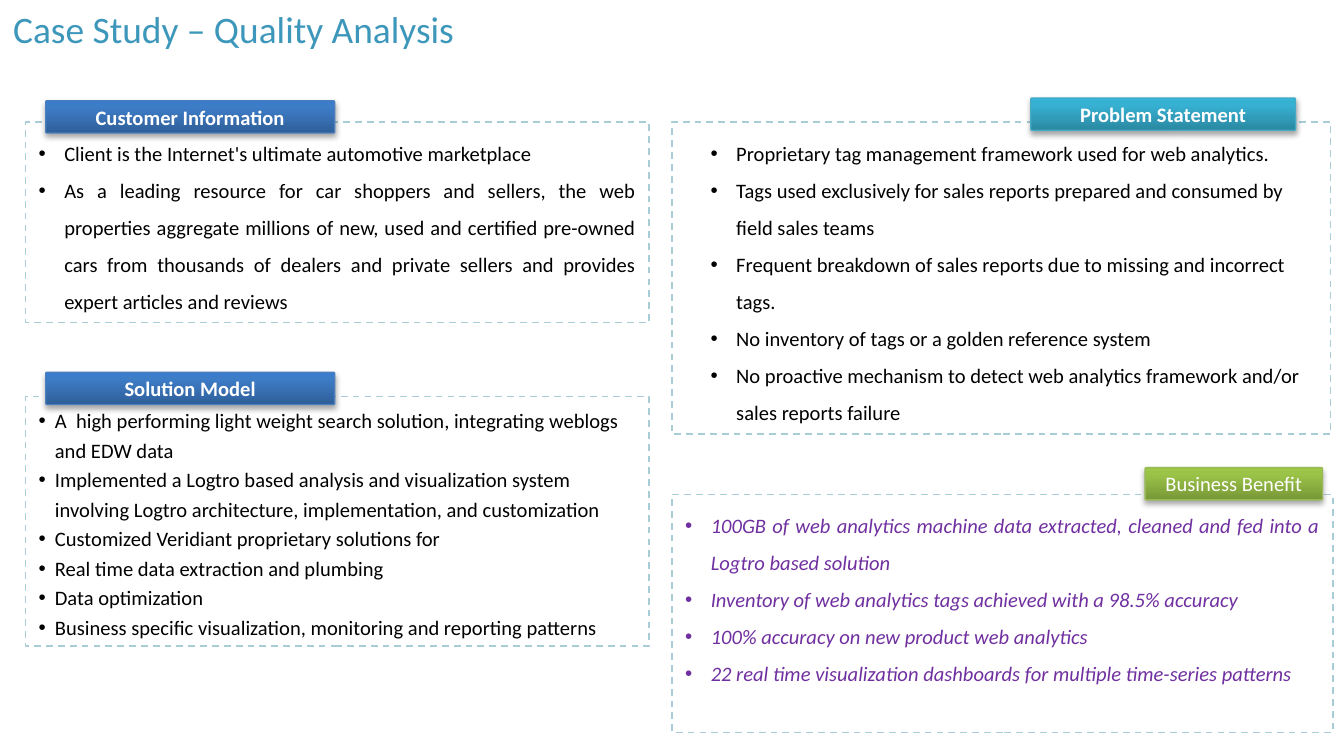
from copy import deepcopy

from lxml.etree import SubElement
from pptx import Presentation
from pptx.dml.color import RGBColor
from pptx.enum.dml import MSO_LINE
from pptx.enum.shapes import MSO_SHAPE
from pptx.enum.text import MSO_ANCHOR, PP_ALIGN
from pptx.oxml.ns import qn
from pptx.util import Inches, Pt

COLORS = {
    "title": "3D97BB", "border": "A8CDD7", "body": "000000",
    "benefit": "7030A0", "label": "FFFFFF", "shadow": "000000",
}
# Label gradient from bottom to top, then its outline
LABELS = {
    "blue": (("2F5F99", "3D7CC7", "3A7CCB"), "4B7EBC"),
    "teal": (("2A88A2", "37B1D2", "34B4D6"), "46AAC5"),
    "green": (("779737", "9BC348", "9DC746"), "98B955"),
}
STOPS = (0, 0.8, 1)

PANELS = [
    dict(
        box=(0.19, 0.91, 4.64, 1.49), label="Customer Information", scheme="blue",
        label_box=(0.15, -0.16, 2.15), align=PP_ALIGN.JUSTIFY,
        lines=[
            "Client is the Internet's ultimate automotive marketplace",
            "As a leading resource for car shoppers and sellers, the web properties "
            "aggregate millions of new, used and certified pre-owned cars from thousands "
            "of dealers and private sellers and provides expert articles and reviews",
        ]),
    dict(
        box=(0.19, 2.95, 4.64, 1.86), label="Solution Model", scheme="blue",
        label_box=(0.15, -0.18, 2.15), indent=0.12, hanging=0.12, spacing=1.2,
        lines=[
            "A  high performing light weight search solution, integrating weblogs "
            "and EDW data",
            "Implemented a Logtro based analysis and visualization system involving "
            "Logtro architecture, implementation, and customization",
            "Customized Veridiant proprietary solutions for",
            "Real time data extraction and plumbing",
            "Data optimization",
            "Business specific visualization, monitoring and reporting patterns",
        ]),
    dict(
        box=(5, 0.91, 4.9, 2.32), label="Problem Statement", scheme="teal",
        label_box=(2.67, -0.18, 1.97), indent=0.38,
        lines=[
            "Proprietary tag management framework used for web analytics.",
            "Tags used exclusively for sales reports prepared and consumed by field "
            "sales teams",
            "Frequent breakdown of sales reports due to missing and incorrect tags.",
            "No inventory of tags or a golden reference system",
            "No proactive mechanism to detect web analytics framework and/or sales "
            "reports failure",
        ]),
    dict(
        box=(5, 3.68, 4.92, 1.77), label="Business Benefit", scheme="green",
        label_box=(3.52, -0.2, 1.32), label_bold=False, align=PP_ALIGN.JUSTIFY,
        color="benefit", italic=True,
        lines=[
            "100GB of web analytics machine data extracted, cleaned and fed into a "
            "Logtro based solution",
            "Inventory of web analytics tags achieved with a 98.5% accuracy",
            "100% accuracy on new product web analytics",
            "22 real time visualization dashboards for multiple time-series patterns",
        ]),
]


def rgb(name):
    """Return the colour for a palette name or a hex string."""
    return RGBColor.from_string(COLORS.get(name, name))


def style(para, size, color, bold=False, italic=False):
    """Format every run of a paragraph."""
    for span in para.runs:
        span.font.name = "Calibri"
        span.font.size = Pt(size)
        span.font.bold = bold
        span.font.italic = italic
        span.font.color.rgb = rgb(color)


def add_bullet(para, indent, hanging):
    """Give a paragraph a round bullet with a hanging indent."""
    props = para._p.get_or_add_pPr()
    props.set("marL", str(Inches(indent)))
    props.set("indent", str(-Inches(hanging)))
    SubElement(props, qn("a:buFont")).set("typeface", "Arial")
    SubElement(props, qn("a:buChar")).set("char", "•")


def add_soft_shadow(shape):
    """Cast a soft shadow straight below a shape."""
    shape.shadow.inherit = False
    effects = shape._element.spPr.find(qn("a:effectLst"))
    shadow = SubElement(effects, qn("a:outerShdw"), blurRad=str(Pt(3.1)),
                        dist=str(Pt(1.8)), dir="5400000", rotWithShape="0")
    color = SubElement(shadow, qn("a:srgbClr"), val=COLORS["shadow"])
    SubElement(color, qn("a:alpha"), val="35000")


def add_title(page, text, left, top, width, height):
    """Place the slide title."""
    box = page.shapes.add_textbox(*map(Inches, (left, top, width, height)))
    box.text_frame.word_wrap = True
    box.text_frame.text = text
    style(box.text_frame.paragraphs[0], 20, "title")


def add_label(page, text, scheme, bold, left, top, width, height=0.24):
    """Place a gradient label with centred text."""
    label = page.shapes.add_shape(
        MSO_SHAPE.ROUNDED_RECTANGLE, *map(Inches, (left, top, width, height)))
    label.adjustments[0] = 0.04
    shades, outline = LABELS[scheme]
    label.fill.gradient()
    label.fill.gradient_angle = 90
    stop_list = label._element.spPr.find(qn("a:gradFill")).find(qn("a:gsLst"))
    stop_list.append(deepcopy(stop_list[-1]))
    for stop, position, shade in zip(label.fill.gradient_stops, STOPS, shades):
        stop.position = position
        stop.color.rgb = rgb(shade)
    label.line.color.rgb = rgb(outline)
    label.line.width = Pt(0.75)
    add_soft_shadow(label)
    frame = label.text_frame
    frame.text = text
    frame.vertical_anchor = MSO_ANCHOR.MIDDLE
    frame.paragraphs[0].alignment = PP_ALIGN.CENTER
    style(frame.paragraphs[0], 11, "label", bold)


def add_panel(page, box, label, scheme, label_box, lines, label_bold=True,
              align=PP_ALIGN.LEFT, indent=0.19, hanging=0.19, spacing=1.5,
              color="body", italic=False):
    """Place a dashed box of bullets with its label on the top edge."""
    panel = page.shapes.add_shape(MSO_SHAPE.RECTANGLE, *map(Inches, box))
    panel.shadow.inherit = False
    panel.fill.background()
    panel.line.color.rgb = rgb("border")
    panel.line.width = Pt(0.9)
    panel.line.dash_style = MSO_LINE.DASH
    frame = panel.text_frame
    frame.word_wrap = True
    frame.vertical_anchor = MSO_ANCHOR.TOP
    frame.text = "\n".join(lines)
    for para in frame.paragraphs:
        para.alignment = align
        para.line_spacing = spacing
        add_bullet(para, indent, hanging)
        style(para, 11, color, italic=italic)
    offset_x, offset_y, width = label_box
    add_label(page, label, scheme, label_bold,
              box[0] + offset_x, box[1] + offset_y, width)


def build():
    """Build the case study slide and save it."""
    deck = Presentation()
    deck.slide_width = Inches(10)
    deck.slide_height = deck.slide_width * 9 // 16
    page = deck.slides.add_slide(deck.slide_layouts[6])
    add_title(page, "Case Study – Quality Analysis", 0, 0, 10, 0.9)
    for panel in PANELS:
        add_panel(page, **panel)
    deck.save("out.pptx")


build()
